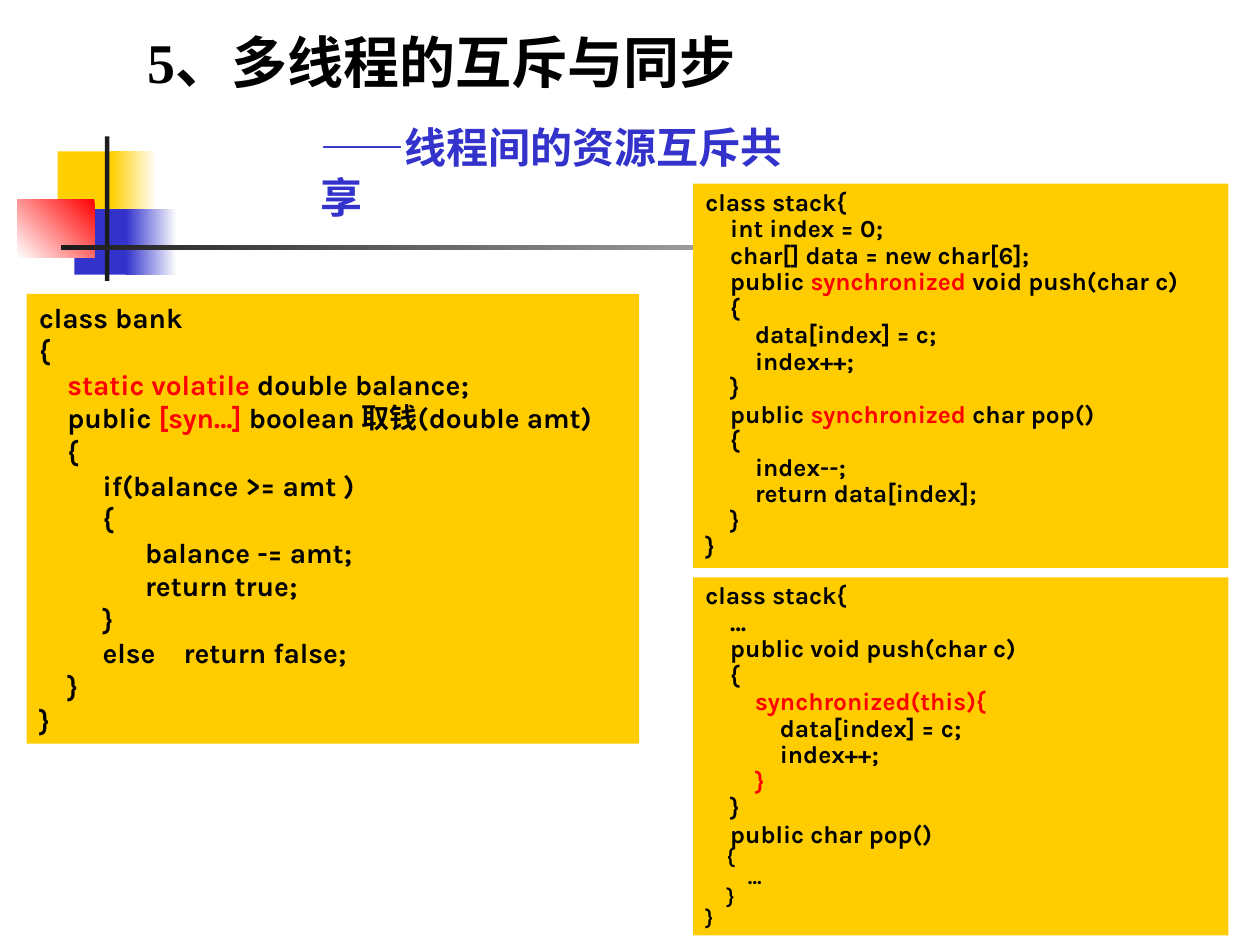
from pptx import Presentation
from pptx.dml.color import RGBColor
from pptx.enum.shapes import MSO_SHAPE
from pptx.enum.text import MSO_ANCHOR, MSO_AUTO_SIZE, PP_ALIGN
from pptx.util import Pt

RECTANGLE = MSO_SHAPE.RECTANGLE
TOP = MSO_ANCHOR.TOP
LEFT = PP_ALIGN.LEFT
GROW = MSO_AUTO_SIZE.SHAPE_TO_FIT_TEXT

COLORS = {
    "yellow": "FFCF01", "panel": "FFCC00", "blue": "3333CC", "red": "FF0000",
    "dark": "1C1C1C", "white": "FFFFFF", "black": "000000",
}
CODE_FONT = "Karla"
TITLE_FONT = "Times New Roman"

# Text between bars is highlighted in red.
BANK_CODE = """class bank
{
    |static volatile| double balance;
    public |[syn…]| boolean 取钱(double amt)
    {
         if(balance >= amt )
         {
               balance -= amt;
               return true;
         }
         else    return false;
    }
}"""

STACK_METHODS = """class stack{
    int index = 0;
    char[] data = new char[6];
    public |synchronized| void push(char c)
    {
        data[index] = c;
        index++;
    }
    public |synchronized| char pop()
    {
        index--;
        return data[index];
    }
}"""

STACK_BLOCK = """class stack{
    …
    public void push(char c)
    {
        |synchronized(this){|
            data[index] = c;
            index++;
        |}|
    }
    public char pop()"""

STACK_BLOCK_END = """    {
        …
    }
}"""


def rgb(name):
    return RGBColor.from_string(COLORS[name])


def apply(target, values):
    for name, value in values.items():
        setattr(target, name, value)


class SlideBuilder:
    frame_format = {"vertical_anchor": TOP, "auto_size": GROW}

    def __init__(self, page):
        self.page = page

    def rectangle(self, place, color):
        box = self.page.shapes.add_shape(RECTANGLE, *map(Pt, place))
        box.shadow.inherit = False
        box.line.fill.background()
        box.fill.solid()
        box.fill.fore_color.rgb = rgb(color)
        return box

    def gradient(self, place, start, end, angle):
        box = self.rectangle(place, start)
        box.fill.gradient()
        box.fill.gradient_angle = angle
        for stop, color in zip(box.fill.gradient_stops, (start, end)):
            stop.color.rgb = rgb(color)

    def span(self, para, text, font, size, color):
        span = para.add_run()
        span.text = text
        apply(span.font, {"name": font, "size": Pt(size), "bold": True})
        span.font.color.rgb = rgb(color)

    def code(self, place, sections, wrap=True):
        """Each section is (code, text size, line spacing)."""
        frame = self.rectangle(place, "panel").text_frame
        apply(frame, self.frame_format | {"word_wrap": wrap})
        lines = [(line, size, spacing) for code, size, spacing in sections
                 for line in code.split("\n")]
        for number, (line, size, spacing) in enumerate(lines):
            para = frame.add_paragraph() if number else frame.paragraphs[0]
            apply(para, {"alignment": LEFT, "line_spacing": spacing})
            for part, text in enumerate(line.split("|")):
                if text:
                    self.span(para, text, CODE_FONT, size,
                              "red" if part % 2 else "black")

    def title(self, place, heading, subheading, indent):
        frame = self.page.shapes.add_textbox(*map(Pt, place)).text_frame
        apply(frame, self.frame_format | {"word_wrap": False})
        self.span(frame.paragraphs[0], heading, TITLE_FONT, 32, "black")
        para = frame.add_paragraph()
        para.space_before = Pt(15)
        para._p.get_or_add_pPr().set("marL", str(Pt(indent)))
        self.span(para, subheading, TITLE_FONT, 24, "blue")


def main():
    deck = Presentation()
    apply(deck, {"slide_width": Pt(720), "slide_height": Pt(540)})
    slide = SlideBuilder(deck.slides.add_slide(deck.slide_layouts[6]))

    # Corner ornament
    slide.rectangle((33, 86.5, 34.5, 37.5), "yellow")
    slide.gradient((63.5, 86.5, 26, 37.5), "white", "yellow", 180)
    slide.rectangle((42.5, 119.5, 33, 37.5), "blue")
    slide.gradient((72, 119.5, 29, 37.5), "white", "blue", 180)
    slide.gradient((10, 113.75, 44, 33.5), "red", "white", 225)
    slide.rectangle((60, 78, 2.5, 82.5), "dark")
    slide.gradient((34.75, 140.25, 648, 2.5), "white", "dark", 180)

    # Code panels
    slide.code((396, 105, 306, 219.5), [(STACK_METHODS, 14, 0.9)])
    slide.code((15.25, 168, 350, 257), [(BANK_CODE, 16, 1.0)], wrap=False)
    slide.code((396, 330, 306, 204.5),
               [(STACK_BLOCK, 14, 0.9), (STACK_BLOCK_END, 12, 0.8)])

    # Title
    slide.title((77, 12.25, 400, 89.25), "5、多线程的互斥与同步",
                "——线程间的资源互斥共享", 99)

    deck.save("out.pptx")


if __name__ == "__main__":
    main()
